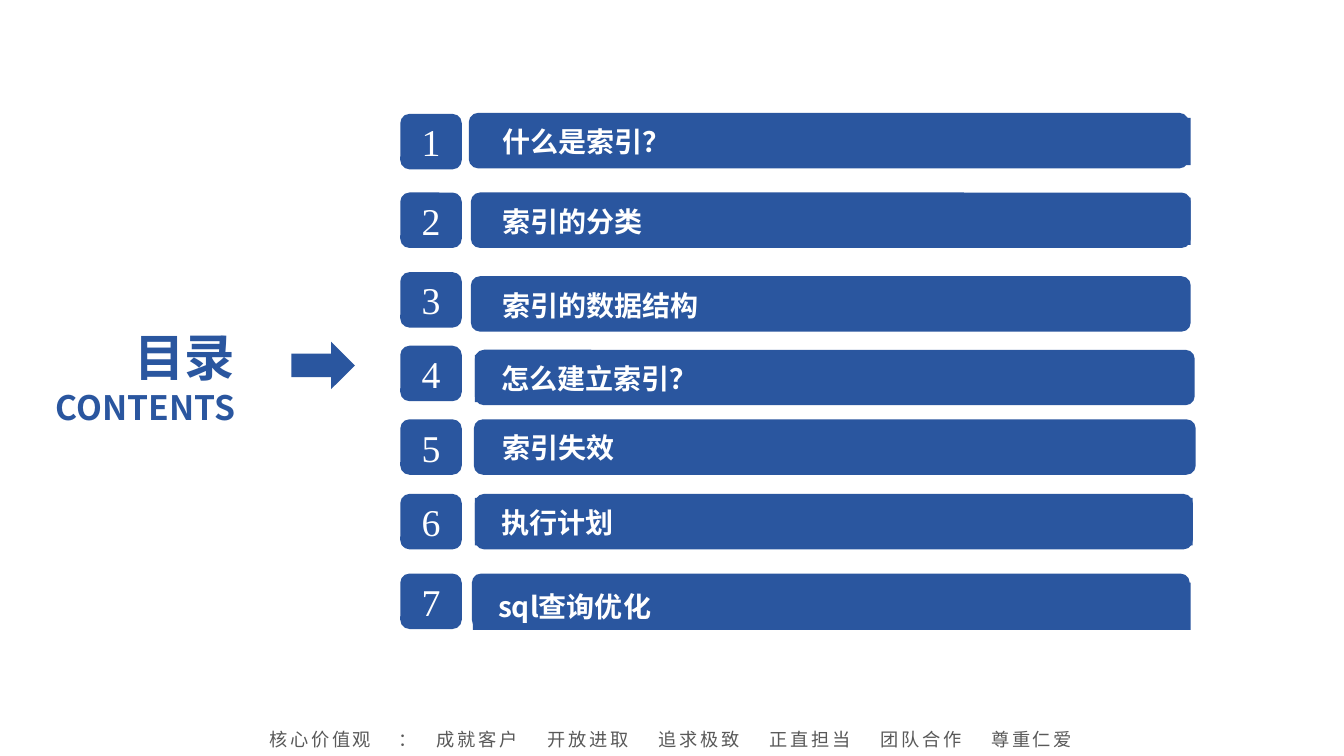
"""Build the contents slide of a talk on database indexes."""
from dataclasses import dataclass

from lxml import etree
from pptx import Presentation
from pptx.dml.color import RGBColor
from pptx.enum.shapes import MSO_SHAPE
from pptx.enum.text import MSO_ANCHOR, PP_ALIGN
from pptx.oxml.ns import qn
from pptx.util import Emu, Pt

PX = 9144
RECT = MSO_SHAPE.RECTANGLE
ROUNDED = MSO_SHAPE.ROUNDED_RECTANGLE
ARROW = MSO_SHAPE.RIGHT_ARROW
TOP, MIDDLE = MSO_ANCHOR.TOP, MSO_ANCHOR.MIDDLE
LEFT, CENTER, RIGHT = PP_ALIGN.LEFT, PP_ALIGN.CENTER, PP_ALIGN.RIGHT


@dataclass(frozen=True)
class Theme:
    """Colours, fonts and type sizes of the slide."""
    blue: str = "2A569F"
    white: str = "FFFFFF"
    grey: str = "595959"
    sans: str = "Noto Sans CJK SC"
    serif: str = "Times New Roman"
    title: int = 36
    subtitle: int = 24
    number: int = 27
    label: int = 20
    footer: int = 13


class ContentsSlide:
    """Draws elements on one slide, with lengths in px."""

    def __init__(self, deck, theme):
        """Add a blank slide to the deck."""
        self.theme = theme
        self.slide = deck.slides.add_slide(deck.slide_layouts[6])

    def block(self, kind, *box):
        """Add a plain blue shape."""
        shape = self.slide.shapes.add_shape(kind, *(Emu(v * PX) for v in box))
        shape.shadow.inherit = False
        shape.fill.solid()
        shape.fill.fore_color.rgb = RGBColor.from_string(self.theme.blue)
        shape.line.fill.background()
        return shape

    def text_box(self, *box):
        """Add an empty text box."""
        return self.slide.shapes.add_textbox(*(Emu(v * PX) for v in box))

    def frame(self, shape, insets, anchor=TOP):
        """Set insets and anchor of a shape's text and return its frame."""
        frame = shape.text_frame
        frame.word_wrap = True
        frame.vertical_anchor = anchor
        (frame.margin_left, frame.margin_top,
         frame.margin_right, frame.margin_bottom) = (Emu(v * PX) for v in insets)
        return frame

    def styled_run(self, paragraph, text, size, color, face, align=LEFT, bold=False):
        """Add one styled run to a paragraph."""
        paragraph.alignment = align
        run = paragraph.add_run()
        run.text = text
        font = run.font
        font.size, font.bold, font.name = Pt(size), bold, face
        font.color.rgb = RGBColor.from_string(color)
        etree.SubElement(run._r.rPr, qn("a:ea"), typeface=face)
        return run

    def heading(self, title, subtitle):
        """Add the two-line heading and its arrow."""
        theme = self.theme
        frame = self.frame(self.text_box(7, 319, 236, 111), (10, 5, 10, 5))
        self.styled_run(frame.paragraphs[0], title, theme.title,
                        theme.blue, theme.sans, RIGHT, True)
        self.styled_run(frame.add_paragraph(), subtitle, theme.subtitle,
                        theme.blue, theme.sans, RIGHT, True)
        self.block(ARROW, 289, 339, 63, 47)

    def chapter(self, number, title, number_top, bar, label, text_left):
        """Add a numbered tile, its bar and the title over the bar."""
        theme = self.theme
        bar_left, bar_top, bar_width = bar
        label_left, label_top, label_width = label
        tile = self.block(ROUNDED, 397, number_top, 61, 55)
        frame = self.frame(tile, (10, 5, 10, 5), MIDDLE)
        self.styled_run(frame.paragraphs[0], str(number), theme.number,
                        theme.white, theme.serif, CENTER)
        self.block(ROUNDED, bar_left, bar_top, bar_width, 55)
        strip = self.block(RECT, label_left, label_top, label_width, 47)
        frame = self.frame(strip, (text_left - label_left, 7, 13, 7))
        self.styled_run(frame.paragraphs[0], title, theme.label,
                        theme.white, theme.sans, bold=True)

    def footer(self, lead, values):
        """Add the line of values, spaced by tab stops."""
        theme = self.theme
        frame = self.frame(self.text_box(191, 716, 952, 36), (76, 0, 0, 0))
        line = frame.paragraphs[0]
        line.line_spacing = 1.3
        tabs = etree.SubElement(line._p.get_or_add_pPr(), qn("a:tabLst"))
        stops = [128] + [166 + 110 * i for i in range(len(values))]
        for stop in stops:
            etree.SubElement(tabs, qn("a:tab"), pos=str(stop * PX), algn="l")
        run = self.styled_run(line, "\t".join([lead, "：", *values]),
                              theme.footer, theme.grey, theme.sans)
        run._r.rPr.set("spc", "200")


CHAPTERS = [
    ("什么是索引？", 113, (465, 112, 714), (485, 117, 696), 498),
    ("索引的分类", 191, (467, 191, 714), (485, 196, 696), 498),
    ("索引的数据结构", 270, (467, 274, 714), (485, 279, 664), 498),
    ("怎么建立索引？", 343, (471, 347, 714), (471, 352, 711), 497),
    ("索引失效", 416, (470, 416, 716), (485, 420, 658), 498),
    ("执行计划", 490, (471, 490, 712), (471, 494, 712), 497),
    ("sql查询优化", 569, (468, 569, 712), (469, 578, 712), 494),
]
VALUES = ["成就客户", "开放进取", "追求极致", "正直担当", "团队合作", "尊重仁爱"]


def main():
    """Build and save the deck."""
    deck = Presentation()
    deck.slide_width, deck.slide_height = Emu(1333 * PX), Emu(750 * PX)
    contents = ContentsSlide(deck, Theme())
    contents.footer("核心价值观", VALUES)
    contents.heading("目录", "CONTENTS")
    for number, chapter in enumerate(CHAPTERS, 1):
        contents.chapter(number, *chapter)
    deck.save("out.pptx")


if __name__ == "__main__":
    main()
